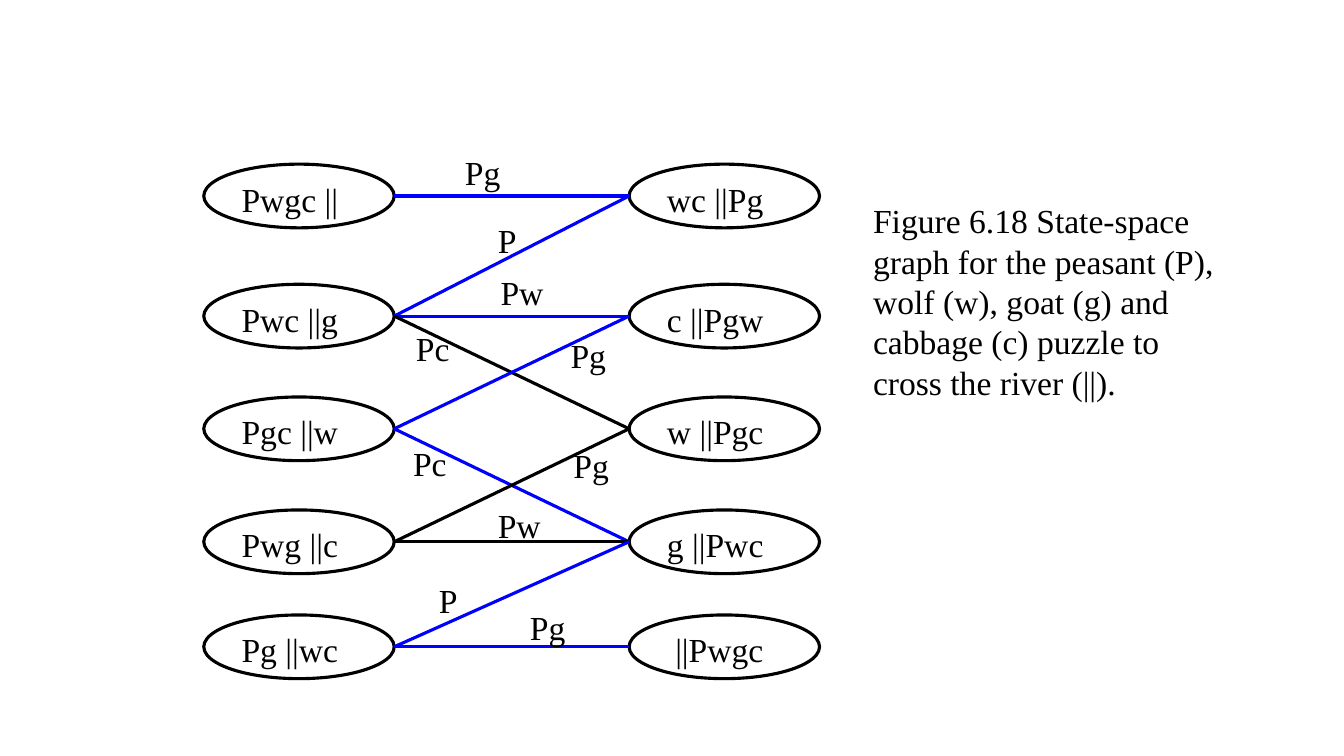
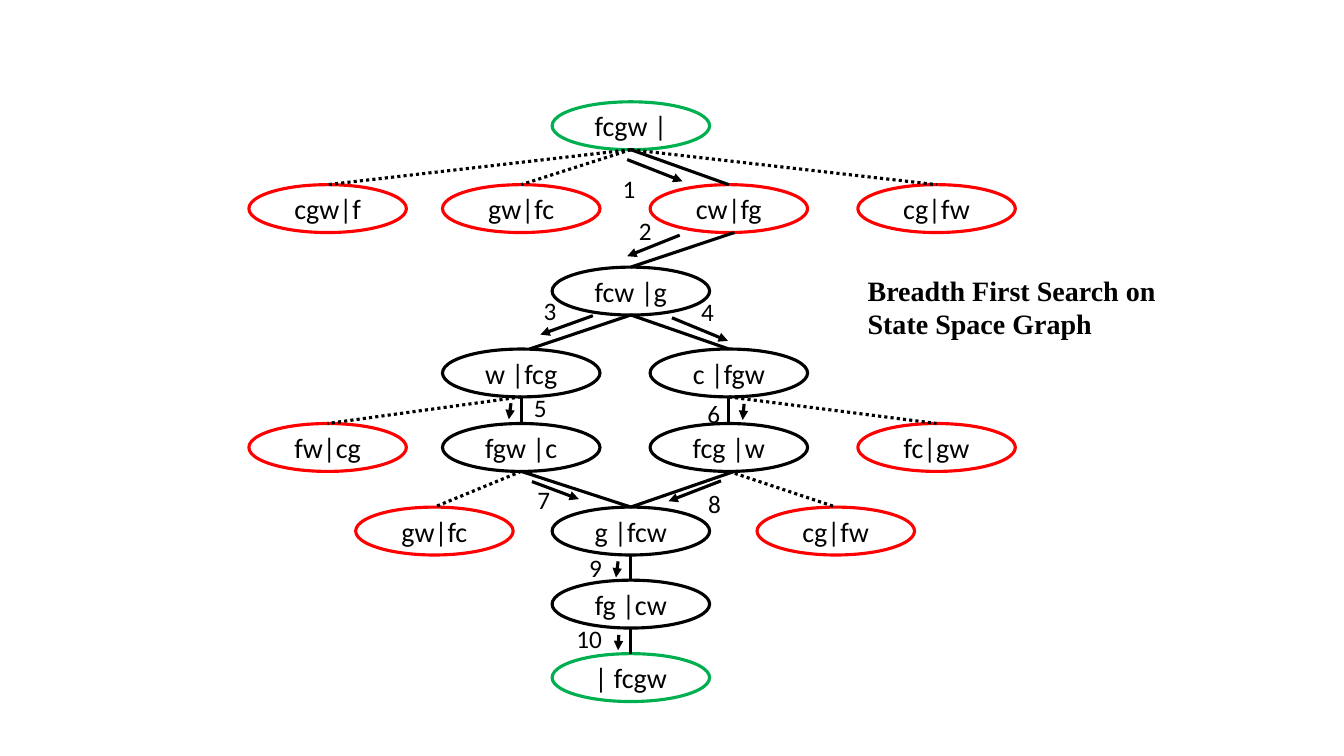
from lxml import etree
from pptx import Presentation
from pptx.dml.color import RGBColor
from pptx.enum.dml import MSO_LINE as DASH
from pptx.enum.shapes import MSO_CONNECTOR as CONN, MSO_SHAPE as SHAPE
from pptx.enum.text import MSO_ANCHOR as ANCHOR, MSO_AUTO_SIZE as FIT, PP_ALIGN as ALIGN
from pptx.oxml.ns import qn
from pptx.util import Pt

BLACK, WHITE, BLUE, RED, GREEN = "000000", "FFFFFF", "0000FF", "FF0000", "00B050"
SERIF, SANS = "Times New Roman", "Calibri"
TITLE_ONLY, BLANK = 5, 6


def rgb(hex_code):
    return RGBColor.from_string(hex_code)


def write_text(shape, text, font=SERIF, size=24, color=BLACK, bold=False,
               align=ALIGN.LEFT, anchor=ANCHOR.TOP, after=0):
    tf = shape.text_frame
    tf.word_wrap, tf.auto_size, tf.vertical_anchor = True, FIT.NONE, anchor
    p = tf.paragraphs[0]
    p.alignment, p.space_after = align, Pt(after)
    r = p.add_run()
    r.text = text
    r.font.name, r.font.size, r.font.bold = font, Pt(size), bold
    r.font.color.rgb = rgb(color)


class Deck:
    """Holds the shared style and the slide being drawn."""
    line_width = 2.25

    def __init__(self):
        self.prs = Presentation()
        self.prs.slide_width, self.prs.slide_height = Pt(960), Pt(540)
        self.s = None

    def new_slide(self, layout):
        self.s = self.prs.slides.add_slide(self.prs.slide_layouts[layout])

    def title(self, text, x, y, w, h, **fmt):
        sp = self.s.shapes.title
        sp.left, sp.top, sp.width, sp.height = Pt(x), Pt(y), Pt(w), Pt(h)
        write_text(sp, text, **fmt)

    def text(self, text, x, y, w, h, **fmt):
        write_text(self.s.shapes.add_textbox(Pt(x), Pt(y), Pt(w), Pt(h)), text, **fmt)

    def node(self, text, cx, cy, w, h, outline=BLACK, **fmt):
        """Ellipse given by its centre."""
        sp = self.s.shapes.add_shape(SHAPE.OVAL, Pt(cx - w / 2), Pt(cy - h / 2), Pt(w), Pt(h))
        sp.shadow.inherit = False
        sp.fill.solid()
        sp.fill.fore_color.rgb = rgb(WHITE)
        sp.line.color.rgb = rgb(outline)
        sp.line.width = Pt(self.line_width)
        write_text(sp, text, after=8, **fmt)

    def line(self, start, end, color=BLACK, dotted=False, arrow=False):
        cxn = self.s.shapes.add_connector(CONN.STRAIGHT, *map(Pt, (*start, *end)))
        cxn.line.color.rgb = rgb(color)
        cxn.line.width = Pt(self.line_width)
        if dotted:
            cxn.line.dash_style = DASH.ROUND_DOT
        sp_pr = cxn._element.spPr
        if arrow:
            etree.SubElement(sp_pr.find(qn("a:ln")), qn("a:tailEnd"), type="triangle")
        etree.SubElement(sp_pr, qn("a:effectLst"))


def state_space_slide(deck):
    deck.new_slide(BLANK)
    w, h = 136, 45.5
    left_x, right_x = 213.6, 517.4
    rows = [140, 225.8, 306.3, 387, 462]

    # States on the two banks
    left = ["Pwgc ||", "Pwc ||g", "Pgc ||w", "Pwg ||c", "Pg ||wc"]
    right = ["wc ||Pg", "c ||Pgw", "w ||Pgc", "g ||Pwc", " ||Pwgc"]
    for cx, states in ((left_x, left), (right_x, right)):
        for state, cy in zip(states, rows):
            deck.node(state, cx, cy, w, h)

    # Crossings: left row, right row, colour, label and its corner
    crossings = [
        (0, 0, BLUE, "Pg", 325, 105), (1, 0, BLUE, "P", 348.5, 153.5),
        (1, 1, BLUE, "Pw", 350.5, 191), (1, 2, BLACK, "Pc", 290, 231),
        (2, 1, BLUE, "Pg", 400.5, 236), (2, 3, BLUE, "Pc", 288, 312.5),
        (3, 2, BLACK, "Pg", 402.5, 314), (3, 3, BLACK, "Pw", 348.5, 357),
        (4, 3, BLUE, "P", 306.5, 411), (4, 4, BLUE, "Pg", 371.5, 430),
    ]
    for i, j, color, label, x, y in crossings:
        deck.line((left_x + w / 2, rows[i]), (right_x - w / 2, rows[j]), color)
        deck.text(label, x, y, 52, 36)

    # Caption
    deck.text("Figure 6.18 State-space graph for the peasant (P), wolf (w), goat (g) "
              "and cabbage (c) puzzle to cross the river (||).", 616.5, 139.5, 269.5, 152.5)


def search_slide(deck):
    deck.new_slide(TITLE_ONLY)
    deck.title("Breadth First Search on State Space Graph", 612.5, 191.5, 254, 55.5,
               size=20, bold=True)
    w, h = 112.5, 34.2
    cols = dict(A=234, B=310.3, C=372.3, D=450.6, E=520.6, F=597, G=669)
    rows = [89.8, 149, 207.9, 266.4, 319.6, 379.3, 431.5, 484]

    # Search states, each placed by column letter and row number
    nodes = {
        "D0": ("fcgw |", GREEN),
        "A1": ("cgw|f", RED), "C1": ("gw|fc", RED), "E1": ("cw|fg", RED), "G1": ("cg|fw", RED),
        "D2": ("fcw |g", BLACK),
        "C3": ("w |fcg", BLACK), "E3": ("c |fgw", BLACK),
        "A4": ("fw|cg", RED), "C4": ("fgw |c", BLACK), "E4": ("fcg |w", BLACK), "G4": ("fc|gw", RED),
        "B5": ("gw|fc", RED), "D5": ("g |fcw", BLACK), "F5": ("cg|fw", RED),
        "D6": ("fg |cw", BLACK),
        "D7": ("| fcgw", GREEN),
    }
    centres = {key: (cols[key[0]], rows[int(key[1])]) for key in nodes}
    for key, (state, outline) in nodes.items():
        deck.node(state, *centres[key], w, h, outline, font=SANS, size=20,
                  align=ALIGN.CENTER, anchor=ANCHOR.MIDDLE)

    # Edges run from the parent's foot to the child's top, with sideways shifts
    def edge(parent, child, shift=0, child_shift=0, dotted=False):
        (x1, y1), (x2, y2) = centres[parent], centres[child]
        deck.line((x1 + shift, y1 + h / 2), (x2 + child_shift, y2 - h / 2), dotted=dotted)

    for args in (("D0", "E1"), ("E1", "D2", 4), ("D2", "C3", 0, 6), ("D2", "E3"),
                 ("C3", "C4"), ("E3", "E4"), ("C4", "D5"), ("E4", "D5", 4),
                 ("D5", "D6"), ("D6", "D7")):
        edge(*args)
    for pair in ("D0 A1", "D0 C1", "D0 G1", "C3 A4", "E3 G4", "C4 B5", "E4 F5"):
        edge(*pair.split(), dotted=True)

    # Numbered steps: arrow start, arrow end, right top corner of the number
    steps = [
        ((448, 114), (487.5, 129.5), (461, 120)),
        ((485.5, 168), (448, 183), (472.5, 150)),
        ((423.5, 225.5), (386, 239), (404.5, 207.5)),
        ((480, 227), (520, 243.5), (517, 208)),
        ((365, 288), (363.5, 299.5), (397.5, 277)),
        ((531.5, 288.5), (530.5, 300), (521.5, 281)),
        ((380, 344), (413.5, 356.5), (400, 342.5)),
        ((515, 343.5), (477.5, 358), (522, 345)),
        ((441.5, 401), (440, 412.5), (437, 391)),
        ((442, 453.5), (441.5, 464.5), (437, 441.5)),
    ]
    label_w = 36
    for number, (start, end, (x, y)) in enumerate(steps, 1):
        deck.line(start, end, arrow=True)
        deck.text(str(number), x - label_w, y, label_w, 29, font=SANS, size=18, align=ALIGN.RIGHT)


def main():
    deck = Deck()
    state_space_slide(deck)
    search_slide(deck)
    deck.prs.save("out.pptx")


if __name__ == "__main__":
    main()
